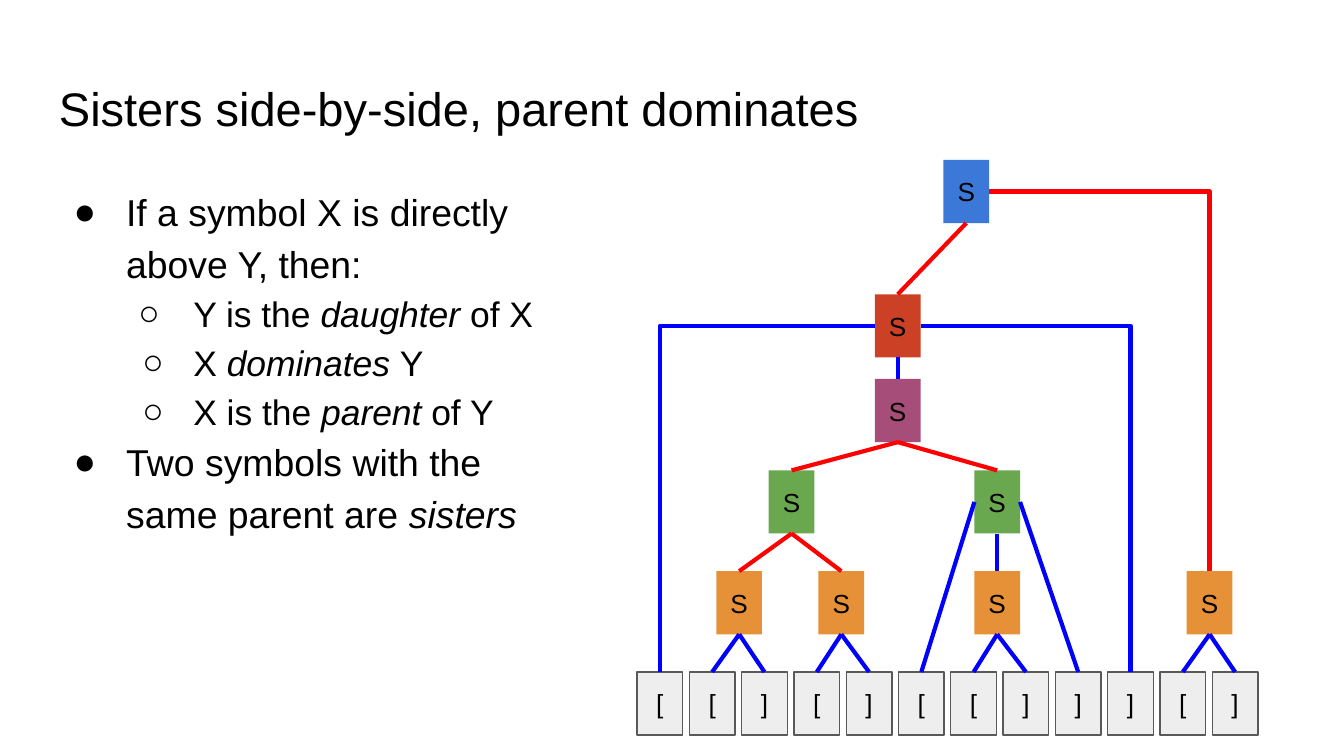
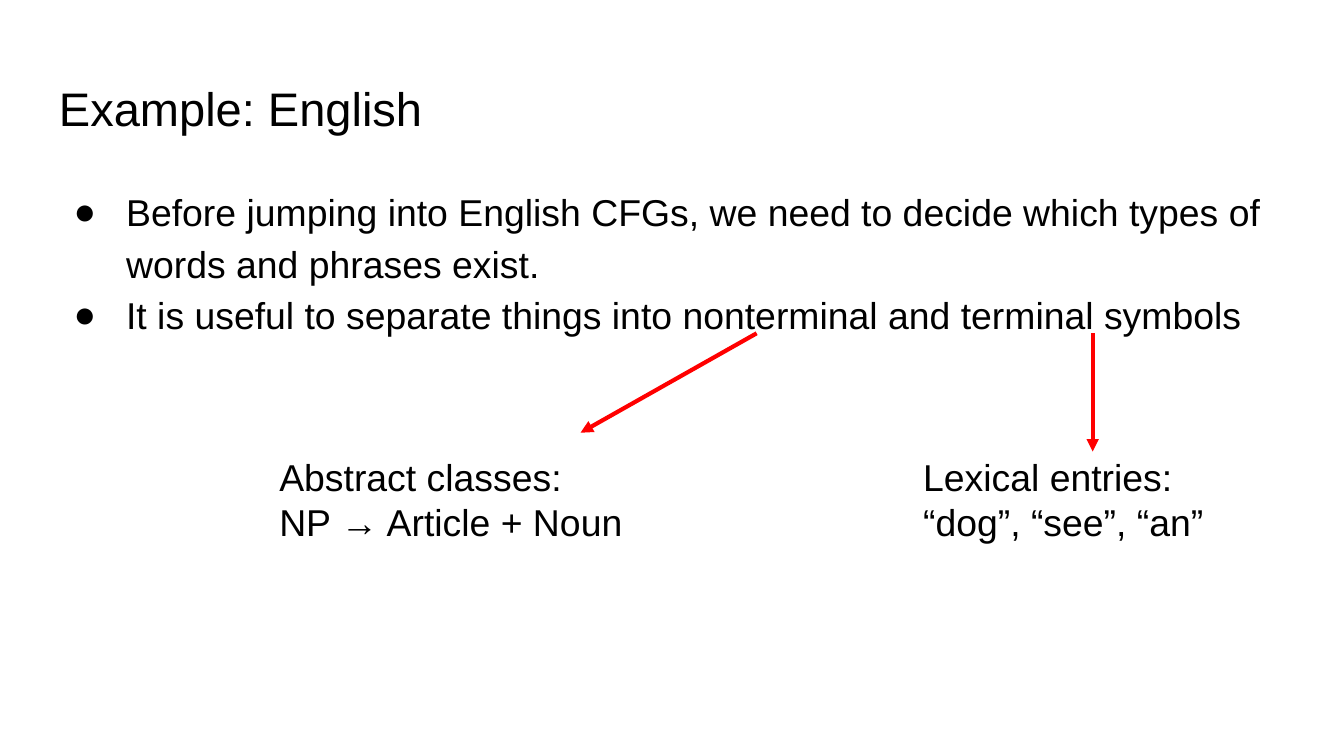
"""Build two slides on tree relations and symbol types in context-free grammars."""
import dataclasses
import typing

import pptx
import pptx.dml.color
import pptx.enum.shapes
import pptx.enum.text
import pptx.oxml
import pptx.oxml.ns
import pptx.util
from pptx.util import Inches


@dataclasses.dataclass(frozen=True)
class Theme:
    font: str = "Arial"
    ink: str = "000000"
    red: str = "FF0000"
    blue: str = "0000FF"
    leaf_fill: str = "EEEEEE"
    leaf_line: str = "595959"
    root: str = "3C78D8"
    wrapper: str = "CC4125"
    branch: str = "A64D79"
    pair: str = "6AA84F"
    unit: str = "E69138"
    title_size: float = 25.2
    body_size: float = 20
    sub_size: float = 19
    node_size: float = 14
    link_width: float = 2.25
    outline_width: float = 0.75


THEME = Theme()
NODE_WIDTH, NODE_HEIGHT = 0.34, 0.47
LEAF_TOP, UNIT_TOP, PAIR_TOP = 5, 4.25, 3.5
FIRST_LEAF, LAST_LEAF = 4.91, 9.19


class Point(typing.NamedTuple):
    x: float
    y: float


class Bullet(typing.NamedTuple):
    text: str
    level: int = 0
    hang: float = 0.39


@dataclasses.dataclass(frozen=True)
class Node:
    center: float
    top: float
    fill: str
    label: str = "S"
    outline: str | None = None

    def anchor(self, side: str) -> Point:
        half = NODE_WIDTH / 2
        return {
            "top": Point(self.center, self.top),
            "bottom": Point(self.center, self.top + NODE_HEIGHT),
            "left": Point(self.center - half, self.top + NODE_HEIGHT / 2),
            "right": Point(self.center + half, self.top + NODE_HEIGHT / 2),
        }[side]


class Link(typing.NamedTuple):
    parent: Node
    side: str
    child: Node
    color: str
    bent: bool = False


def rgb(color: str) -> pptx.dml.color.RGBColor:
    return pptx.dml.color.RGBColor.from_string(color)


def add_child(parent, tag: str, **attributes: str):
    child = pptx.oxml.parse_xml(f"<{tag} {pptx.oxml.ns.nsdecls('a')}/>")
    for name, value in attributes.items():
        child.set(name, value)
    parent.append(child)
    return child


def write(para, text: str, *, size: float, color: str = THEME.ink, centered: bool = False) -> None:
    for index, words in enumerate(text.split("*")):
        if words:
            span = para.add_run()
            span.text = words
            span.font.name = THEME.font
            span.font.size = pptx.util.Pt(size)
            span.font.color.rgb = rgb(color)
            span.font.italic = index % 2 == 1
    if centered:
        para.alignment = pptx.enum.text.PP_ALIGN.CENTER


def set_bullet(para, bullet: Bullet) -> None:
    para.level = bullet.level
    para.line_spacing = 1.15
    properties = para._p.get_or_add_pPr()
    properties.set("marL", str(Inches(0.5 * (bullet.level + 1))))
    properties.set("indent", str(-Inches(bullet.hang)))
    color = add_child(properties, "a:buClr")
    add_child(color, "a:srgbClr", val=THEME.ink)
    add_child(properties, "a:buFont", typeface=THEME.font)
    add_child(properties, "a:buChar", char="●○"[bullet.level])


def set_frame(frame) -> None:
    frame.word_wrap = True
    frame.margin_left = frame.margin_right = Inches(0.1)
    frame.margin_top = frame.margin_bottom = Inches(0.1)


def add_text(page, left: float, top: float, width: float, height: float,
             lines: typing.Sequence[str | Bullet], *, size: float = THEME.body_size) -> None:
    box = page.shapes.add_textbox(Inches(left), Inches(top), Inches(width), Inches(height))
    frame = box.text_frame
    set_frame(frame)
    for index, line in enumerate(lines):
        para = frame.add_paragraph() if index else frame.paragraphs[0]
        if isinstance(line, Bullet):
            set_bullet(para, line)
            write(para, line.text, size=THEME.sub_size if line.level else size)
        else:
            write(para, line, size=size)


def add_page(deck, title: str):
    page = deck.slides.add_slide(deck.slide_layouts[6])
    add_text(page, 0.34, 0.49, 9.32, 0.63, [title], size=THEME.title_size)
    return page


def add_line(page, start: Point, end: Point, color: str, *,
             bent: bool = False, arrow: bool = False) -> None:
    kinds = pptx.enum.shapes.MSO_CONNECTOR
    line = page.shapes.add_connector(
        kinds.ELBOW if bent else kinds.STRAIGHT,
        Inches(start.x), Inches(start.y), Inches(end.x), Inches(end.y))
    line.line.color.rgb = rgb(color)
    line.line.width = pptx.util.Pt(THEME.link_width)
    properties = line._element.spPr
    if bent:
        properties.find(pptx.oxml.ns.qn("a:prstGeom")).set("prst", "bentConnector2")
    if arrow:
        add_child(line.line._get_or_add_ln(), "a:tailEnd", type="triangle")
    add_child(properties, "a:effectLst")


def add_node(page, node: Node) -> None:
    box = page.shapes.add_shape(
        pptx.enum.shapes.MSO_SHAPE.RECTANGLE,
        Inches(node.center - NODE_WIDTH / 2), Inches(node.top),
        Inches(NODE_WIDTH), Inches(NODE_HEIGHT))
    box.shadow.inherit = False
    box.fill.solid()
    box.fill.fore_color.rgb = rgb(node.fill)
    if node.outline:
        box.line.color.rgb = rgb(node.outline)
        box.line.width = pptx.util.Pt(THEME.outline_width)
    else:
        box.line.fill.background()
    set_frame(box.text_frame)
    box.text_frame.vertical_anchor = pptx.enum.text.MSO_ANCHOR.MIDDLE
    write(box.text_frame.paragraphs[0], node.label, size=THEME.node_size, centered=True)


def add_tree(page) -> None:
    brackets = "[[][][[]]][]"
    pitch = (LAST_LEAF - FIRST_LEAF) / (len(brackets) - 1)
    leaves = [Node(FIRST_LEAF + index * pitch, LEAF_TOP, THEME.leaf_fill, label, THEME.leaf_line)
              for index, label in enumerate(brackets)]
    units = [Node(center, UNIT_TOP, THEME.unit) for center in (5.5, 6.26, 7.42, 9)]
    left_pair, right_pair = [Node(center, PAIR_TOP, THEME.pair) for center in (5.89, 7.42)]
    branch = Node(6.68, 2.82, THEME.branch)
    wrapper = Node(6.68, 2.19, THEME.wrapper)
    root = Node(7.19, 1.19, THEME.root)

    links = [Link(unit, "bottom", leaves[first + step], THEME.blue)
             for unit, first in zip(units, (1, 3, 6, 10)) for step in (0, 1)]
    links += [
        Link(right_pair, "left", leaves[5], THEME.blue),
        Link(right_pair, "bottom", units[2], THEME.blue),
        Link(right_pair, "right", leaves[8], THEME.blue),
        Link(left_pair, "bottom", units[0], THEME.red),
        Link(left_pair, "bottom", units[1], THEME.red),
        Link(branch, "bottom", left_pair, THEME.red),
        Link(branch, "bottom", right_pair, THEME.red),
        Link(wrapper, "left", leaves[0], THEME.blue, bent=True),
        Link(wrapper, "bottom", branch, THEME.blue),
        Link(wrapper, "right", leaves[9], THEME.blue, bent=True),
        Link(root, "bottom", wrapper, THEME.red),
        Link(root, "right", units[3], THEME.red, bent=True),
    ]
    for node in [*leaves, *units, left_pair, right_pair, branch, wrapper, root]:
        add_node(page, node)
    for link in links:
        add_line(page, link.parent.anchor(link.side), link.child.anchor("top"),
                 link.color, bent=link.bent)


def build_sisters(deck) -> None:
    page = add_page(deck, "Sisters side-by-side, parent dominates")
    add_text(page, 0.34, 1.26, 3.81, 3.74, [
        Bullet("If a symbol X is directly above Y, then:"),
        Bullet("Y is the *daughter* of X", 1, 0.41),
        Bullet("X *dominates *Y", 1, 0.38),
        Bullet("X is the *parent *of Y", 1, 0.38),
        Bullet("Two symbols with the same parent are *sisters*"),
    ])
    add_tree(page)


def build_english(deck) -> None:
    page = add_page(deck, "Example: English")
    add_text(page, 0.34, 1.26, 9.32, 1.34, [
        Bullet("Before jumping into English CFGs, we need to decide which types of "
               "words and phrases exist."),
        Bullet("It is useful to separate things into nonterminal and terminal symbols"),
    ])
    add_line(page, Point(8.13, 2.48), Point(8.13, 3.36), THEME.red, arrow=True)
    add_line(page, Point(5.63, 2.48), Point(4.32, 3.22), THEME.red, arrow=True)
    add_text(page, 6.77, 3.28, 2.63, 0.53, ["Lexical entries: “dog”, “see”, “an”"])
    add_text(page, 1.98, 3.28, 3.46, 0.95, ["Abstract classes:", "NP → Article + Noun"])


def main() -> None:
    deck = pptx.Presentation()
    deck.slide_width, deck.slide_height = Inches(10), Inches(10 * 9 / 16)
    build_sisters(deck)
    build_english(deck)
    deck.save("out.pptx")


if __name__ == "__main__":
    main()
